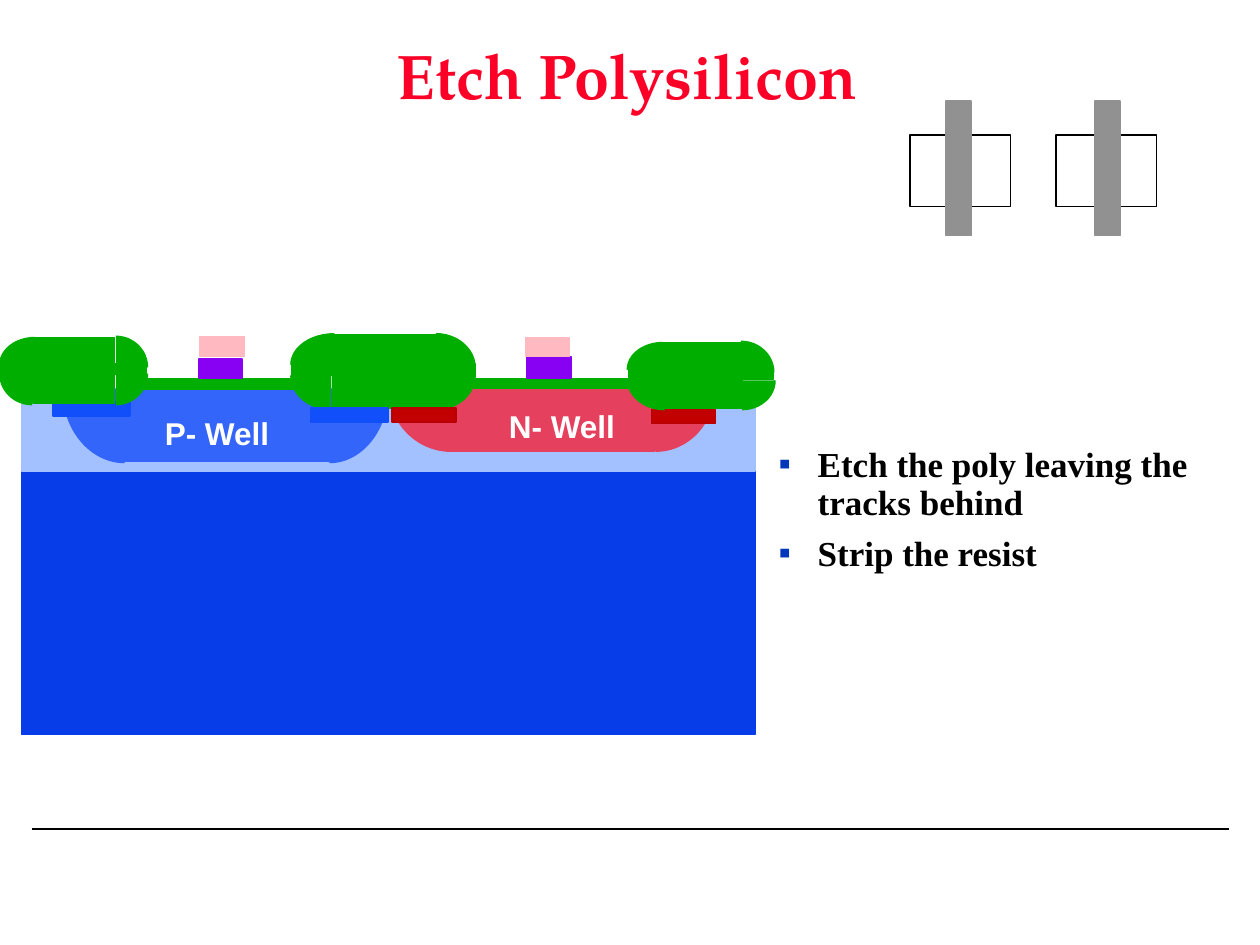
from lxml import etree
from pptx import Presentation
from pptx import util as u
from pptx.dml.color import RGBColor
from pptx.enum import shapes, text
from pptx.oxml.ns import qn

COLORS = {
    "title": "FC0128", "ink": "000000", "bullet": "0237BC", "paper": "FFFFFF",
    "track": "919191", "substrate": "063DE8", "epi": "A2C1FE",
    "n_well": "E5405D", "p_well": "3365FB", "oxide": "00AE00",
    "p_implant": "114FFB", "n_implant": "C20000", "n_implant_edge": "BA0000",
    "poly": "8901F3", "resist": "FEB9C1",
}

# Start and end angles, clockwise from three o'clock
QUARTERS = {
    "bottom_right": (0, 90), "bottom_left": (90, 180),
    "top_left": (180, 270), "top_right": (270, 0),
}

# Corner boxes are those of the full ellipses
WELLS = [
    ("n_well", {"bottom_left": (3.09, 2.58, 0.98, 1), "bottom_right": (4.74, 2.58, 0.93, 1)},
     [(3.55, 3.09, 1.65, 0.49)]),
    ("p_well", {"bottom_left": (0.5, 2.5, 0.98, 1.17), "bottom_right": (2.15, 2.5, 0.93, 1.17)},
     [(0.97, 3.09, 1.65, 0.57)]),
]
MIDDLE_OXIDE = (
    {"bottom_left": (2.31, 2.71, 0.64, 0.54), "bottom_right": (3.15, 2.71, 0.62, 0.54),
     "top_right": (3.15, 2.65, 0.62, 0.54), "top_left": (2.31, 2.65, 0.69, 0.49)},
    [(2.32, 2.89, 1.45, 0.09), (2.64, 2.66, 0.82, 0.58)])
RIGHT_OXIDE = (
    {"bottom_left": (4.98, 2.76, 0.59, 0.49), "bottom_right": (5.63, 2.79, 0.52, 0.46),
     "top_right": (5.62, 2.71, 0.52, 0.49), "top_left": (4.98, 2.72, 0.56, 0.43)},
    [(4.99, 2.93, 1.15, 0.08), (5.24, 2.72, 0.65, 0.52)])
LEFT_OXIDE = (
    {"bottom_left": (0, 2.72, 0.51, 0.49), "bottom_right": (0.67, 2.72, 0.5, 0.49),
     "top_right": (0.67, 2.67, 0.5, 0.49), "top_left": (0, 2.68, 0.56, 0.43)},
    [(0.01, 2.89, 1.15, 0.08), (0.26, 2.68, 0.65, 0.52)])

WELL_LABELS = [("P- Well", (1.21, 3.24, 1.04, 0.4)), ("N- Well", (3.94, 3.18, 1.05, 0.4))]
GATE_OXIDES = [(1.08, 3.01, 1.33, 0.08), (3.76, 3.01, 1.24, 0.07)]
P_IMPLANTS = [(2.47, 3.24, 0.61, 0.11), (0.42, 3.19, 0.61, 0.11)]
N_IMPLANTS = [(3.11, 3.24, 0.51, 0.11), (5.17, 3.25, 0.51, 0.11)]
POLY_GATES = [(1.58, 2.85, 0.34, 0.15), (4.18, 2.83, 0.35, 0.17)]
RESIST = [(1.59, 2.67, 0.35, 0.16), (4.17, 2.68, 0.35, 0.15)]


def rgb(name):
    return RGBColor.from_string(COLORS[name])


def inches(box):
    return [u.Inches(value) for value in box]


def set_format(target, **values):
    for name, value in values.items():
        setattr(target, name, value)


def place(shape, box):
    set_format(shape, **dict(zip(("left", "top", "width", "height"), inches(box))))


def format_font(paragraph, face, size, color):
    set_format(paragraph.font, name=face, size=u.Pt(size), bold=True)
    paragraph.font.color.rgb = rgb(color)


def add_part(parent, box, fill, edge=None, kind=shapes.MSO_SHAPE.RECTANGLE):
    """Add a flat filled shape, edged in its own colour unless told otherwise."""
    part = parent.shapes.add_shape(kind, *inches(box))
    part.shadow.inherit = False
    part.fill.solid()
    part.fill.fore_color.rgb = rgb(fill)
    part.line.color.rgb = rgb(edge or fill)
    part.line.width = u.Pt(1)
    return part


def add_parts(parent, boxes, fill, edge=None):
    for box in boxes:
        add_part(parent, box, fill, edge)


def add_rounded_region(parent, corners, bars, fill):
    """Build a region from quarter ellipses and the bars that join them."""
    for corner, box in corners.items():
        arc = add_part(parent, box, fill, kind=shapes.MSO_SHAPE.ARC)
        for index, degrees in enumerate(QUARTERS[corner]):
            arc.adjustments[index] = degrees * 0.6  # 60000ths of a degree / 100000
    add_parts(parent, bars, fill)


def add_well_label(parent, wording, box):
    frame = parent.shapes.add_textbox(*inches(box)).text_frame
    set_format(frame, word_wrap=False, auto_size=text.MSO_AUTO_SIZE.SHAPE_TO_FIT_TEXT)
    label = frame.paragraphs[0]
    label.text = wording
    format_font(label, "Arial", 18, "paper")


def fill_title(title):
    place(title, (1.06, 0, 7.83, 1.25))
    set_format(title.text_frame, text="Etch Polysilicon", word_wrap=True,
               auto_size=text.MSO_AUTO_SIZE.NONE, vertical_anchor=text.MSO_ANCHOR.MIDDLE)
    heading = title.text_frame.paragraphs[0]
    set_format(heading, alignment=text.PP_ALIGN.CENTER, line_spacing=0.9)
    format_font(heading, "TeX Gyre Pagella", 36, "title")


def add_bullet(paragraph):
    properties = paragraph._p.get_or_add_pPr()
    set_indent = {"marL": u.Inches(0.31), "indent": u.Inches(-0.31)}
    for name, length in set_indent.items():
        properties.set(name, str(int(length)))
    color = etree.SubElement(properties, qn("a:buClr"))
    etree.SubElement(color, qn("a:srgbClr"), val=COLORS["bullet"])
    etree.SubElement(properties, qn("a:buFont"), typeface="Times New Roman")
    etree.SubElement(properties, qn("a:buChar"), char="▪")


def fill_steps(body, steps):
    place(body, (6.08, 3.5, 3.69, 2.48))
    frame = body.text_frame
    set_format(frame, text="\n".join(steps), word_wrap=True,
               auto_size=text.MSO_AUTO_SIZE.NONE, vertical_anchor=text.MSO_ANCHOR.TOP)
    for index, step in enumerate(frame.paragraphs):
        add_bullet(step)
        set_format(step, line_spacing=0.9, space_before=u.Pt(7.5 if index else 0))
        format_font(step, "Times New Roman", 20, "ink")


def add_footer_rule(slide):
    rule = slide.shapes.add_connector(
        shapes.MSO_CONNECTOR.STRAIGHT, *inches((0.25, 6.58, 9.75, 6.58)))
    rule.line.color.rgb = rgb("ink")
    rule.line.width = u.Pt(1)
    etree.SubElement(rule._element.spPr, qn("a:effectLst"))


def add_top_view(slide):
    view = slide.shapes.add_group_shape()
    for active_left, track_left in ((7.22, 7.51), (8.38, 8.69)):
        add_part(view, (active_left, 1.07, 0.8, 0.57), "paper", "ink")
        add_part(view, (track_left, 0.8, 0.2, 1.07), "track")


def add_cross_section(slide):
    section = slide.shapes.add_group_shape()
    add_part(section, (0.17, 3.09, 5.82, 2.74), "substrate")
    add_part(section, (0.17, 3.09, 5.82, 0.65), "epi")
    for well, corners, bars in WELLS:
        add_rounded_region(section, corners, bars, well)
    for wording, box in WELL_LABELS:
        add_well_label(section, wording, box)
    add_parts(section, GATE_OXIDES, "oxide")
    add_rounded_region(section, *MIDDLE_OXIDE, "oxide")
    add_parts(section, P_IMPLANTS, "p_implant")
    add_parts(section, N_IMPLANTS, "n_implant", "n_implant_edge")
    add_parts(section, POLY_GATES, "poly")
    add_parts(section, RESIST, "resist")
    for corners, bars in (RIGHT_OXIDE, LEFT_OXIDE):
        add_rounded_region(section, corners, bars, "oxide")


def main():
    deck = Presentation()
    set_format(deck, slide_width=u.Inches(10), slide_height=u.Inches(7.5))
    slide = deck.slides.add_slide(deck.slide_layouts[1])
    fill_title(slide.shapes.title)
    fill_steps(slide.placeholders[1],
               ["Etch the poly leaving the tracks behind", "Strip the resist"])
    add_footer_rule(slide)
    add_top_view(slide)
    add_cross_section(slide)
    deck.save("out.pptx")


if __name__ == "__main__":
    main()
